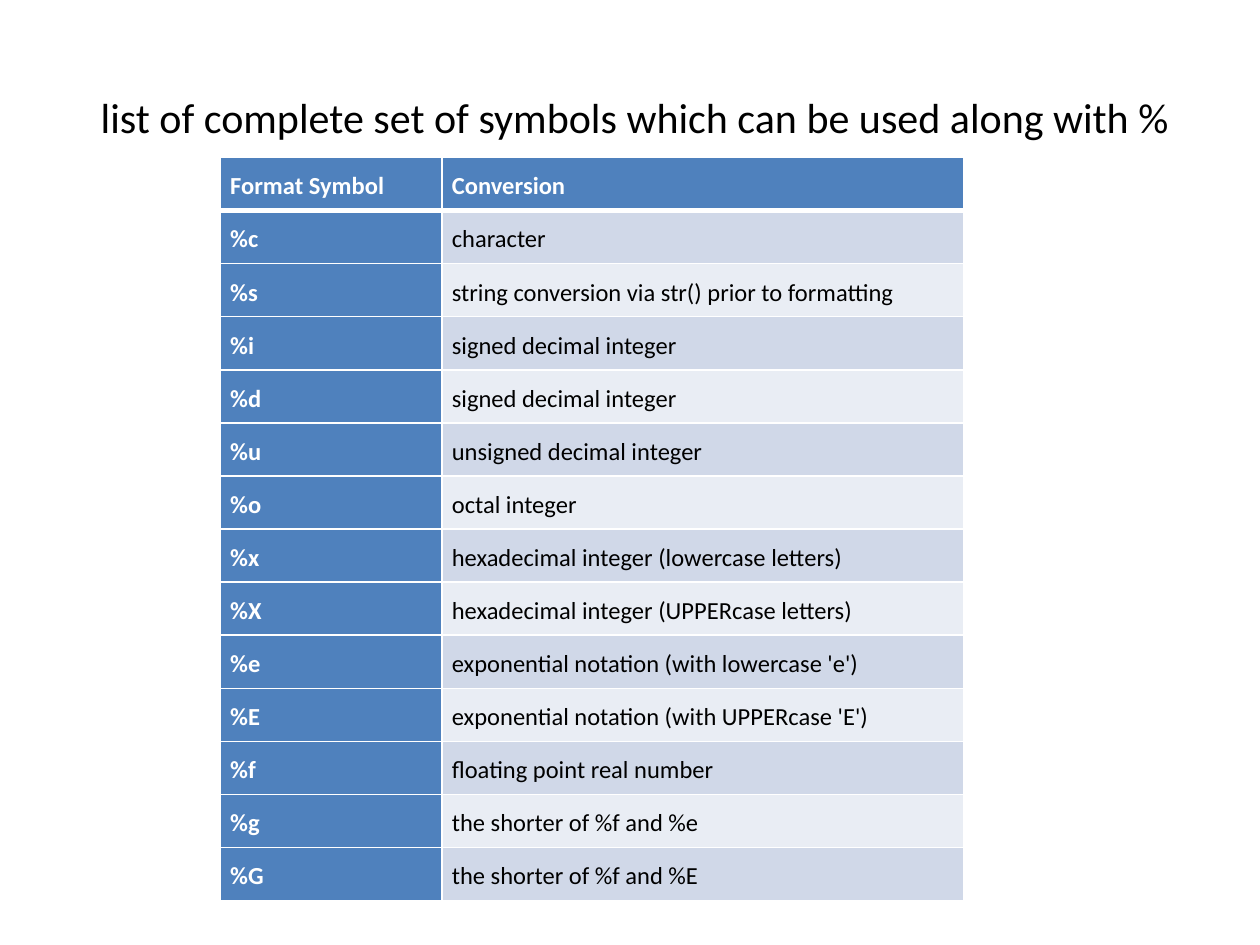
from lxml.etree import SubElement
from pptx import Presentation
from pptx.dml.color import RGBColor
from pptx.enum.text import MSO_ANCHOR, PP_ALIGN
from pptx.oxml.ns import qn
from pptx.util import Inches, Pt

TITLE = " list of complete set of symbols which can be used along with %"
ROWS = [
    ("Format Symbol", "Conversion"),
    ("%c", "character"),
    ("%s", "string conversion via str() prior to formatting"),
    ("%i", "signed decimal integer"),
    ("%d", "signed decimal integer"),
    ("%u", "unsigned decimal integer"),
    ("%o", "octal integer"),
    ("%x", "hexadecimal integer (lowercase letters)"),
    ("%X", "hexadecimal integer (UPPERcase letters)"),
    ("%e", "exponential notation (with lowercase 'e')"),
    ("%E", "exponential notation (with UPPERcase 'E')"),
    ("%f", "floating point real number"),
    ("%g", "the shorter of %f and %e"),
    ("%G", "the shorter of %f and %E"),
]
COLORS = {"head": "4F81BD", "odd": "D0D8E8", "even": "E9EDF4",
          "white": "FFFFFF", "black": "000000"}
COL_WIDTHS = (1.76, 4.14)
ROW_HEIGHT = 0.35
TABLE_HEIGHT = 5.72
CELL_MARGIN = Pt(5.5)


def add_run(p, text, size, color, bold=False):
    r = p.add_run()
    r.text = text
    r.font.name = "Calibri"
    r.font.size = Pt(size)
    r.font.bold = bold
    r.font.color.rgb = RGBColor.from_string(COLORS[color])


def set_borders(cell, bottom):
    """White cell borders, 1 pt except for the bottom; they must precede the fill."""
    tcPr = cell._tc.get_or_add_tcPr()
    for side, width in (("L", 1), ("R", 1), ("T", 1), ("B", bottom)):
        ln = SubElement(tcPr, qn(f"a:ln{side}"), w=str(Pt(width)))
        fill = SubElement(ln, qn("a:solidFill"))
        SubElement(fill, qn("a:srgbClr"), val=COLORS["white"])


def fill_cell(cell, text, row, col):
    is_head = row == 0 or col == 0
    set_borders(cell, bottom=3 if row == 0 else 1)
    cell.fill.solid()
    fill = "head" if is_head else "odd" if row % 2 else "even"
    cell.fill.fore_color.rgb = RGBColor.from_string(COLORS[fill])
    cell.margin_left = cell.margin_right = CELL_MARGIN
    cell.margin_top = cell.margin_bottom = CELL_MARGIN
    p = cell.text_frame.paragraphs[0]
    p.line_spacing = 1.15
    p.space_after = Pt(10)
    add_run(p, text, 14, "white" if is_head else "black", bold=is_head)


def main():
    prs = Presentation()
    prs.slide_width, prs.slide_height = Inches(10), Inches(7.5)
    s = prs.slides.add_slide(prs.slide_layouts[6])

    title = s.shapes.add_textbox(Inches(0.5), Inches(0.3), Inches(9), Inches(1.25))
    tf = title.text_frame
    tf.word_wrap = True
    tf.vertical_anchor = MSO_ANCHOR.MIDDLE
    p = tf.paragraphs[0]
    p.alignment = PP_ALIGN.CENTER
    add_run(p, TITLE, 24, "black")

    frame = s.shapes.add_table(
        len(ROWS), len(COL_WIDTHS), Inches(1.75), Inches(1.25),
        Inches(sum(COL_WIDTHS)), Inches(ROW_HEIGHT * len(ROWS)))
    table = frame.table
    for column, width in zip(table.columns, COL_WIDTHS):
        column.width = Inches(width)
    for i, texts in enumerate(ROWS):
        for j, text in enumerate(texts):
            fill_cell(table.cell(i, j), text, i, j)
    frame.height = Inches(TABLE_HEIGHT)

    prs.save("out.pptx")


if __name__ == "__main__":
    main()
